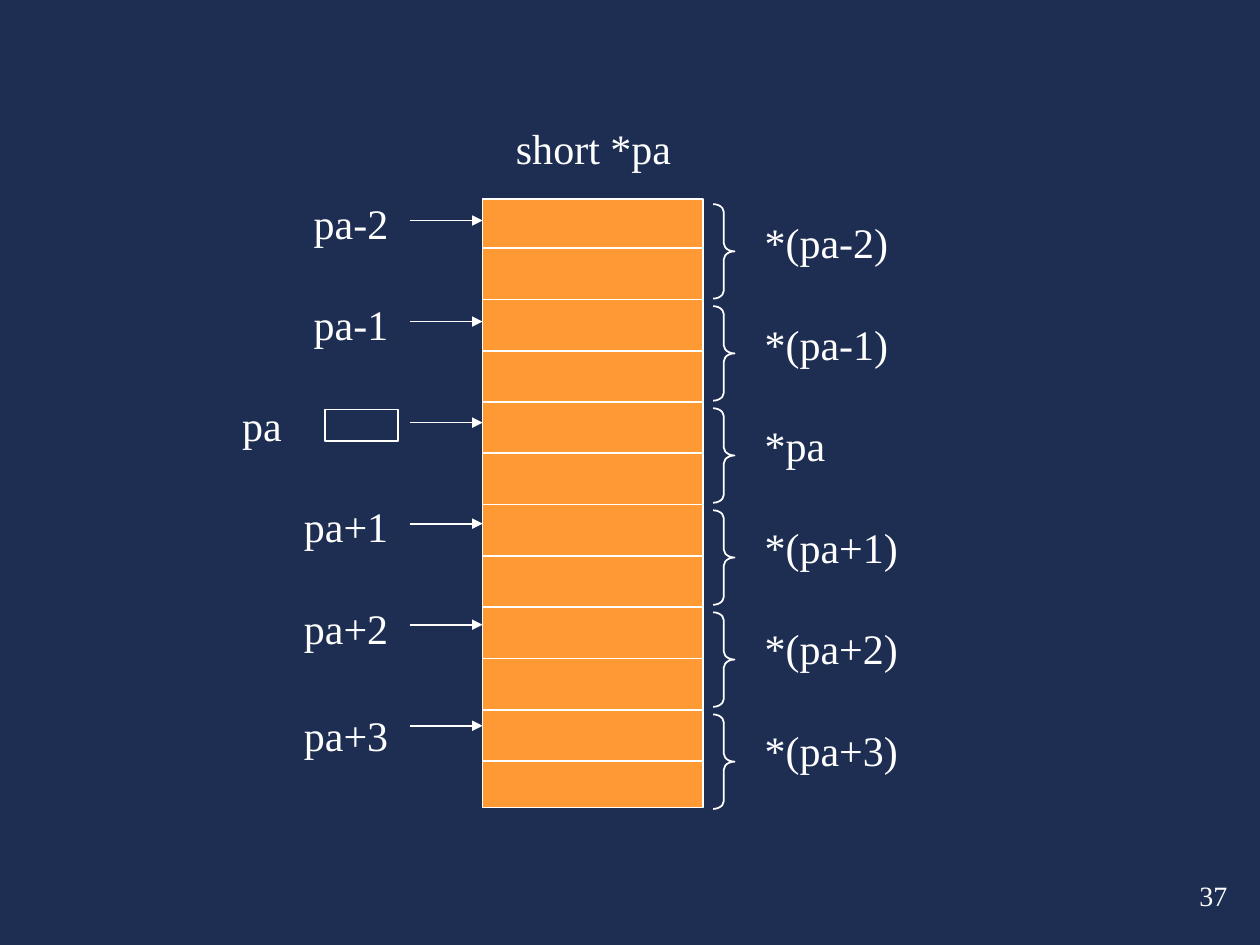
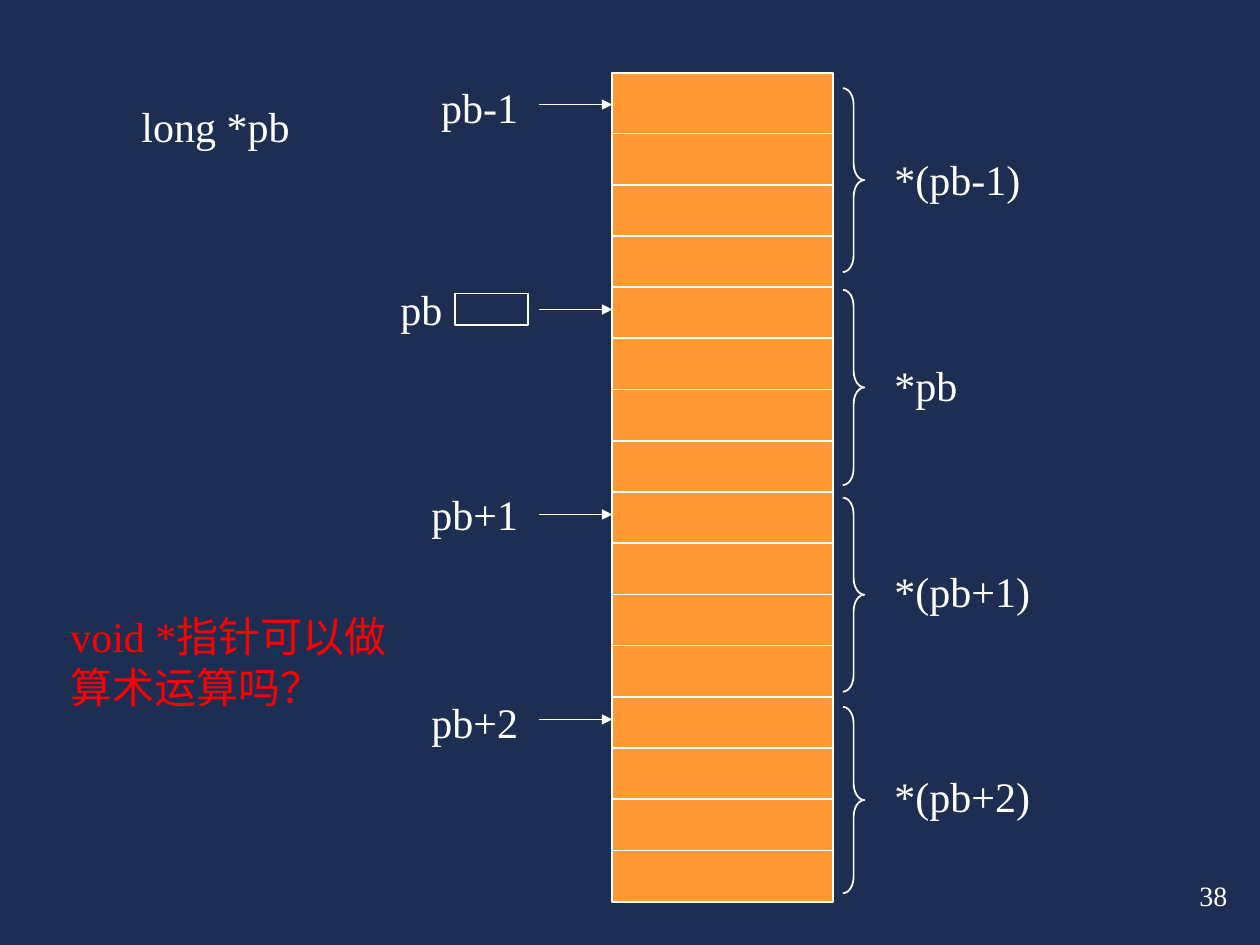
from lxml.etree import SubElement
from pptx import Presentation
from pptx.dml.color import RGBColor
from pptx.enum.shapes import MSO_CONNECTOR, MSO_SHAPE
from pptx.enum.text import MSO_ANCHOR, MSO_AUTO_SIZE, PP_ALIGN
from pptx.oxml.ns import qn
from pptx.util import Inches, Pt

NAVY, ORANGE, WHITE, RED = "1E2E53", "FF9933", "FFFFFF", "FF0000"
FONT = "Times New Roman"

# Vertical positions are in inches; a (first, last) pair is spread evenly.
MEMORY_SLIDES = [
    {
        "title": "short *pa", "title_at": (3.92, 0.92), "number": "37",
        "memory": (3.83, 1.58, 1.75, 4.83), "cells": 12, "dividers": (1.97, 6.04),
        "pointers": ["pa-2", "pa-1", "pa", "pa+1", "pa+2", "pa+3"],
        "pointer_tops": [1.52, 2.32, 3.12, 3.92, 4.73, 5.58],
        "variable": "pa", "variable_span": (1.58, 1), "variable_align": PP_ALIGN.CENTER,
        "arrows": (1.75, 5.76),
        "values": ["*(pa-2)", "*(pa-1)", "*pa", "*(pa+1)", "*(pa+2)", "*(pa+3)"],
        "values_span": (1.67, 5.7),
        "braces": [(1.62 + 0.81 * index, 0.75) for index in range(6)],
        "brace_curve": 0.37,
    },
    {
        "title": "long *pb", "title_at": (0.92, 0.75), "number": "38",
        "memory": (4.86, 0.58, 1.75, 6.58), "cells": 16, "dividers": (1.06, 6.75),
        "pointers": ["pb-1", "pb", "pb+1", "pb+2"],
        "pointer_tops": [0.6, 2.2, 3.83, 5.48],
        "variable": "pb", "variable_span": (2.67, 0.94), "variable_align": PP_ALIGN.RIGHT,
        "arrows": (0.83, 5.71),
        "values": ["*(pb-1)", "*pb", "*(pb+1)", "*(pb+2)"],
        "values_span": (1.17, 6.07),
        "braces": [(0.7, 1.46), (2.3, 1.55), (3.95, 1.54), (5.61, 1.48)],
        "brace_curve": 0.77,
        "question": "void *指针可以做算术运算吗？",
    },
]


def color(value):
    return RGBColor.from_string(value)


def spread(first, last, count):
    """Return count evenly spaced positions from first to last."""
    return [first + (last - first) * index / (count - 1) for index in range(count)]


def write(shape, text, size=24, text_color=WHITE, align=PP_ALIGN.LEFT):
    frame = shape.text_frame
    frame_format = {
        "word_wrap": True, "auto_size": MSO_AUTO_SIZE.NONE, "vertical_anchor": MSO_ANCHOR.TOP,
        "margin_left": Inches(0.1), "margin_right": Inches(0.1),
        "margin_top": Inches(0.05), "margin_bottom": Inches(0.05),
    }
    for name, value in frame_format.items():
        setattr(frame, name, value)
    paragraph = frame.paragraphs[0]
    paragraph.text = text
    paragraph.alignment = align
    font = paragraph.font
    font.name, font.size = FONT, Pt(size)
    font.color.rgb = color(text_color)


def add_text(slide, text, left, top, width, height=0.5, **style):
    box = slide.shapes.add_textbox(*map(Inches, (left, top, width, height)))
    write(box, text, **style)


def add_outline(slide, preset, left, top, width, height, fill=None):
    shape = slide.shapes.add_shape(preset, *map(Inches, (left, top, width, height)))
    shape.shadow.inherit = False
    if fill:
        shape.fill.solid()
        shape.fill.fore_color.rgb = color(fill)
    else:
        shape.fill.background()
    shape.line.color.rgb = color(WHITE)
    shape.line.width = Pt(1)
    return shape


def add_line(slide, start, end, y, arrow=False):
    line = slide.shapes.add_connector(
        MSO_CONNECTOR.STRAIGHT, *map(Inches, (start, y, end, y)))
    line.line.color.rgb = color(WHITE)
    line.line.width = Pt(1)
    properties = line.element.spPr
    if arrow:
        SubElement(properties.find(qn("a:ln")), qn("a:tailEnd"), type="triangle")
    SubElement(properties, qn("a:effectLst"))


def add_title(slide, text, left, top):
    title = slide.shapes.title
    title.left, title.top = Inches(left), Inches(top)
    title.width, title.height = Inches(1.58), Inches(0.5)
    write(title, text, align=PP_ALIGN.CENTER)


def add_pointers(slide, content, memory_left):
    for text, top in zip(content["pointers"], content["pointer_tops"]):
        if text == content["variable"]:
            left, width = content["variable_span"]
            add_text(slide, text, left, top, width, align=content["variable_align"])
            add_outline(slide, MSO_SHAPE.RECTANGLE, memory_left - 1.25, top + 0.13, 0.58, 0.25)
        else:
            add_text(slide, text, memory_left - 1.83, top, 1.18, align=PP_ALIGN.RIGHT)
    for y in spread(*content["arrows"], len(content["pointers"])):
        add_line(slide, memory_left - 0.58, memory_left, y, arrow=True)


def add_values(slide, content, memory_right):
    tops = spread(*content["values_span"], len(content["values"]))
    for text, top, (brace_top, height) in zip(content["values"], tops, content["braces"]):
        brace = add_outline(
            slide, MSO_SHAPE.RIGHT_BRACE, memory_right + 0.08, brace_top, 0.17, height)
        brace.adjustments[0] = content["brace_curve"]
        add_text(slide, text, memory_right + 0.39, top, 1.67)


def build_slide(presentation, content):
    slide = presentation.slides.add_slide(presentation.slide_layouts[5])
    add_title(slide, content["title"], *content["title_at"])
    left, top, width, height = content["memory"]
    add_outline(slide, MSO_SHAPE.RECTANGLE, left, top, width, height, fill=ORANGE)
    for y in spread(*content["dividers"], content["cells"] - 1):
        add_line(slide, left, left + width, y)
    add_pointers(slide, content, left)
    add_values(slide, content, left + width)
    add_text(slide, content["number"], 9.42, 6.92, 0.58, 0.37, size=16)
    if "question" in content:
        add_text(slide, content["question"], 0.46, 4.8, 2.76, 0.9, text_color=RED)


def main():
    presentation = Presentation()
    presentation.slide_width, presentation.slide_height = Inches(10), Inches(7.5)
    background = presentation.slide_master.background.fill
    background.solid()
    background.fore_color.rgb = color(NAVY)
    for content in MEMORY_SLIDES:
        build_slide(presentation, content)
    presentation.save("out.pptx")


if __name__ == "__main__":
    main()
